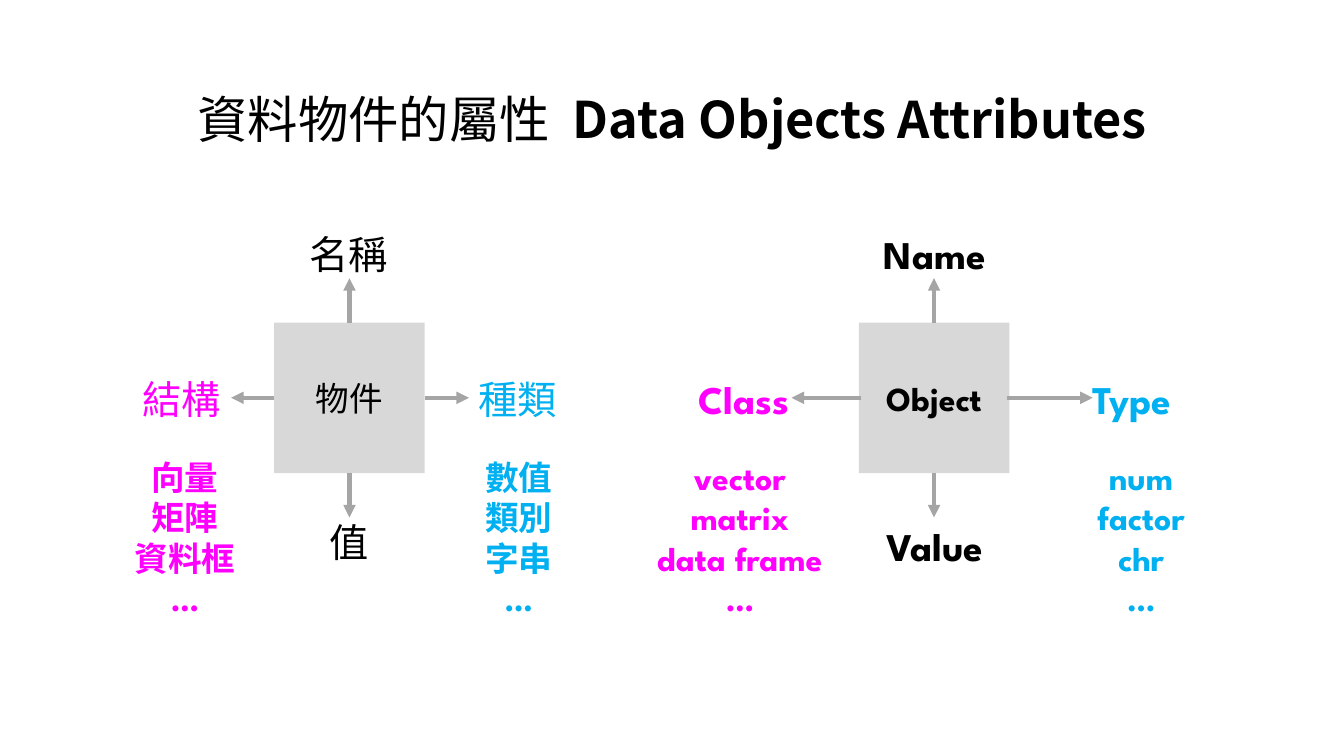
from lxml import etree
from pptx import Presentation
from pptx.dml.color import RGBColor
from pptx.enum import shapes, text
from pptx.oxml import ns
from pptx.util import Inches, Pt

BLACK, MAGENTA, CYAN = "000000", "FF00FF", "00B0F0"
SQUARE_FILL, ARROW_GREY = "D8D8D8", "A5A5A5"
SPARTAN, ARIAL, NOTO = "League Spartan", "Arial", "Noto Sans CJK TC"
LEFT, CENTER, RIGHT = text.PP_ALIGN.LEFT, text.PP_ALIGN.CENTER, text.PP_ALIGN.RIGHT

SIDE = 1.12
SQUARE_TOP, LABEL_TOP, LIST_TOP = 0.73, 1.08, 1.69
LABEL_HEIGHT, LIST_HEIGHT = 0.43, 1.29
VERTICAL_REACH = 0.33


def rgb(value):
    return RGBColor.from_string(value)


def add_run(paragraph, wording, size, font, color, bold=False):
    run = paragraph.add_run()
    run.text = wording
    for name, value in {"size": Pt(size), "name": font, "bold": bold}.items():
        setattr(run.font, name, value)
    run.font.color.rgb = rgb(color)
    properties = run.font._element
    etree.SubElement(properties, ns.qn("a:ea"), typeface=font)
    return properties


def format_frame(frame, anchor):
    values = {
        "word_wrap": True, "auto_size": text.MSO_AUTO_SIZE.NONE,
        "vertical_anchor": anchor,
        "margin_left": Inches(0.07), "margin_right": Inches(0.07),
        "margin_top": Inches(0.04), "margin_bottom": Inches(0.04),
    }
    for name, value in values.items():
        setattr(frame, name, value)


def add_lines(slide, box, lines, align, **style):
    """Text box with one paragraph for each line."""
    frame = slide.shapes.add_textbox(*map(Inches, box)).text_frame
    format_frame(frame, text.MSO_ANCHOR.TOP)
    for index, line in enumerate(lines):
        paragraph = frame.add_paragraph() if index else frame.paragraphs[0]
        paragraph.alignment = align
        add_run(paragraph, line, **style)


def add_arrow(slide, start, end):
    arrow = slide.shapes.add_connector(
        shapes.MSO_CONNECTOR.STRAIGHT, *map(Inches, (*start, *end)))
    arrow.line.color.rgb = rgb(ARROW_GREY)
    arrow.line.width = Pt(2.25)
    etree.SubElement(arrow.line._get_or_add_ln(), ns.qn("a:tailEnd"), type="triangle")
    etree.SubElement(arrow._element.spPr, ns.qn("a:effectLst"))


def add_heading(slide, box):
    heading = slide.shapes.title
    for name, value in zip(("left", "top", "width", "height"), box):
        setattr(heading, name, Inches(value))
    format_frame(heading.text_frame, text.MSO_ANCHOR.MIDDLE)
    paragraph = heading.text_frame.paragraphs[0]
    paragraph.alignment = CENTER
    paragraph.line_spacing = 1.32
    add_run(paragraph, "資料物件的屬性", 27, NOTO, BLACK)
    add_run(paragraph, " ", 27, NOTO, BLACK).set("spc", "600")
    add_run(paragraph, "Data Objects Attributes", 27, NOTO, BLACK, bold=True)


def add_object_map(slide, left, top, content):
    """Square with four arrows to its attributes, and two lists of examples."""
    font, bold = content["font"], content["bold"]
    square_left, square_top = left + content["square"], top + SQUARE_TOP
    square = slide.shapes.add_shape(
        shapes.MSO_SHAPE.RECTANGLE,
        *map(Inches, (square_left, square_top, SIDE, SIDE)))
    square.shadow.inherit = False
    square.fill.solid()
    square.fill.fore_color.rgb = rgb(SQUARE_FILL)
    square.line.fill.background()
    format_frame(square.text_frame, text.MSO_ANCHOR.MIDDLE)
    paragraph = square.text_frame.paragraphs[0]
    paragraph.alignment = CENTER
    add_run(paragraph, content["object"], 18, font, BLACK, bold)

    middle_x, middle_y = square_left + SIDE / 2, square_top + SIDE / 2
    for direction in (-1, 1):
        edge = middle_y + direction * SIDE / 2
        add_arrow(slide, (middle_x, edge),
                  (middle_x, edge + direction * VERTICAL_REACH))
    for start, end in content["side_arrows"]:
        add_arrow(slide, (left + start, middle_y), (left + end, middle_y))

    for wording, x, y, width, align, color in content["labels"]:
        add_lines(slide, (left + x, top + y, width, LABEL_HEIGHT), [wording],
                  align, size=21, font=font, color=color, bold=bold)
    for lines, x, width, color in content["examples"]:
        add_lines(slide, (left + x, top + LIST_TOP, width, LIST_HEIGHT), lines,
                  CENTER, size=18, font=SPARTAN, color=color, bold=True)


CHINESE = {
    "font": ARIAL, "bold": False, "object": "物件", "square": 1.12,
    "side_arrows": [(1.12, 0.8), (2.24, 2.57)],
    "labels": [
        ("名稱", 1.31, 0, 0.74, LEFT, BLACK),
        ("結構", 0.07, LABEL_TOP, 0.74, LEFT, MAGENTA),
        ("種類", 2.57, LABEL_TOP, 0.74, LEFT, CYAN),
        ("值", 1.46, 2.15, 0.45, LEFT, BLACK),
    ],
    "examples": [
        (["向量", "矩陣", "資料框", "…"], 0, 0.91, MAGENTA),
        (["數值", "類別", "字串", "…"], 2.61, 0.66, CYAN),
    ],
}
ENGLISH = {
    "font": SPARTAN, "bold": True, "object": "Object", "square": 1.62,
    "side_arrows": [(1.64, 1.12), (2.72, 3.36)],
    "labels": [
        ("Name", 1.69, 0, 0.99, CENTER, BLACK),
        ("Class", 0.23, LABEL_TOP, 0.94, RIGHT, MAGENTA),
        ("Type", 3.29, LABEL_TOP, 0.84, LEFT, CYAN),
        ("Value", 1.71, 2.18, 0.95, CENTER, BLACK),
    ],
    "examples": [
        (["vector", "matrix", "data frame", "…"], 0, 1.47, MAGENTA),
        (["num", "factor", "chr", "…"], 3.28, 0.88, CYAN),
    ],
}


def main():
    deck = Presentation()
    deck.slide_width, deck.slide_height = Inches(10), Inches(10 * 9 / 16)
    slide = deck.slides.add_slide(deck.slide_layouts.get_by_name("Title Only"))
    add_heading(slide, (0.5, 0.41, 9, 0.8))
    add_object_map(slide, 0.92, 1.67, CHINESE)
    add_object_map(slide, 4.77, 1.67, ENGLISH)
    deck.save("out.pptx")


if __name__ == "__main__":
    main()
